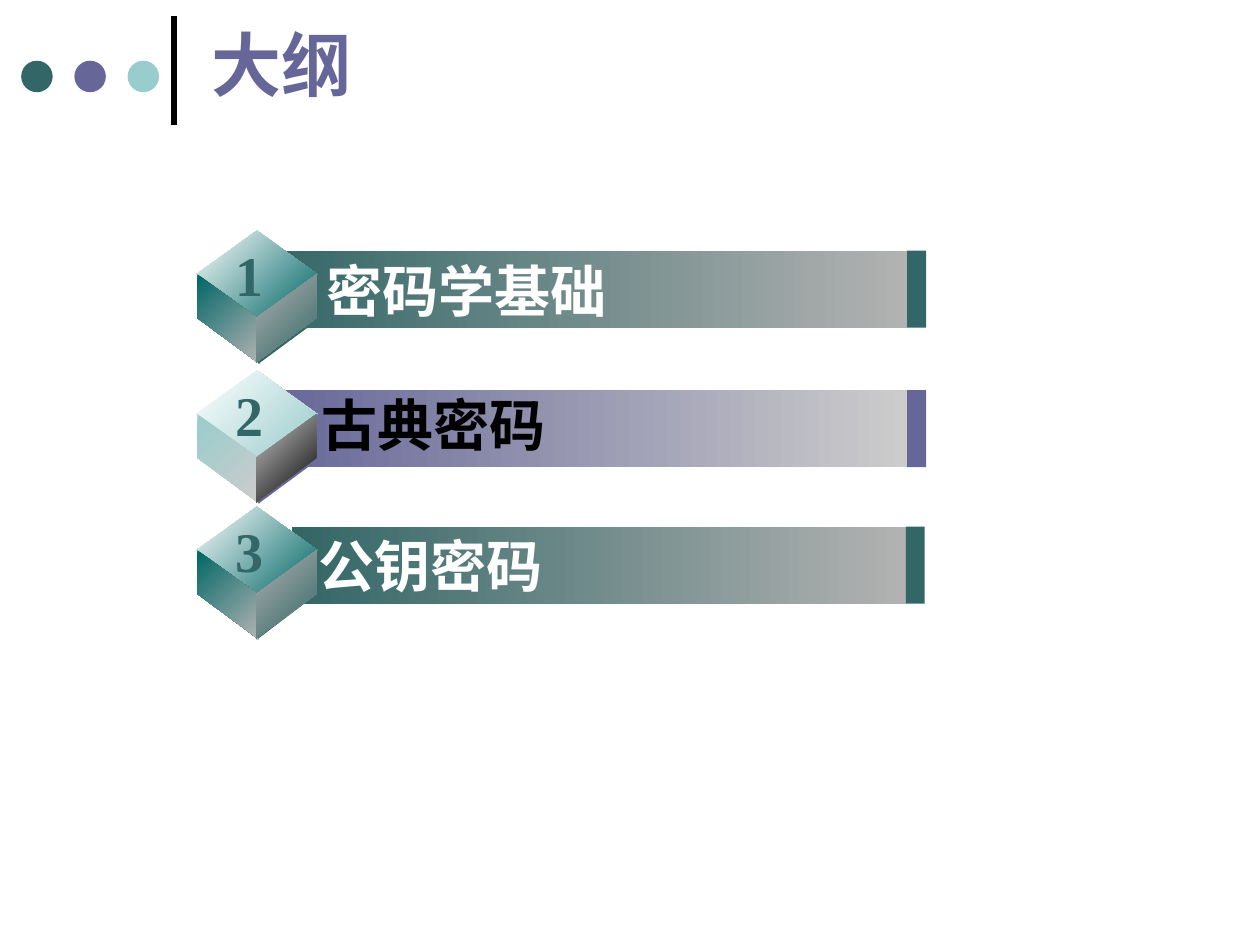
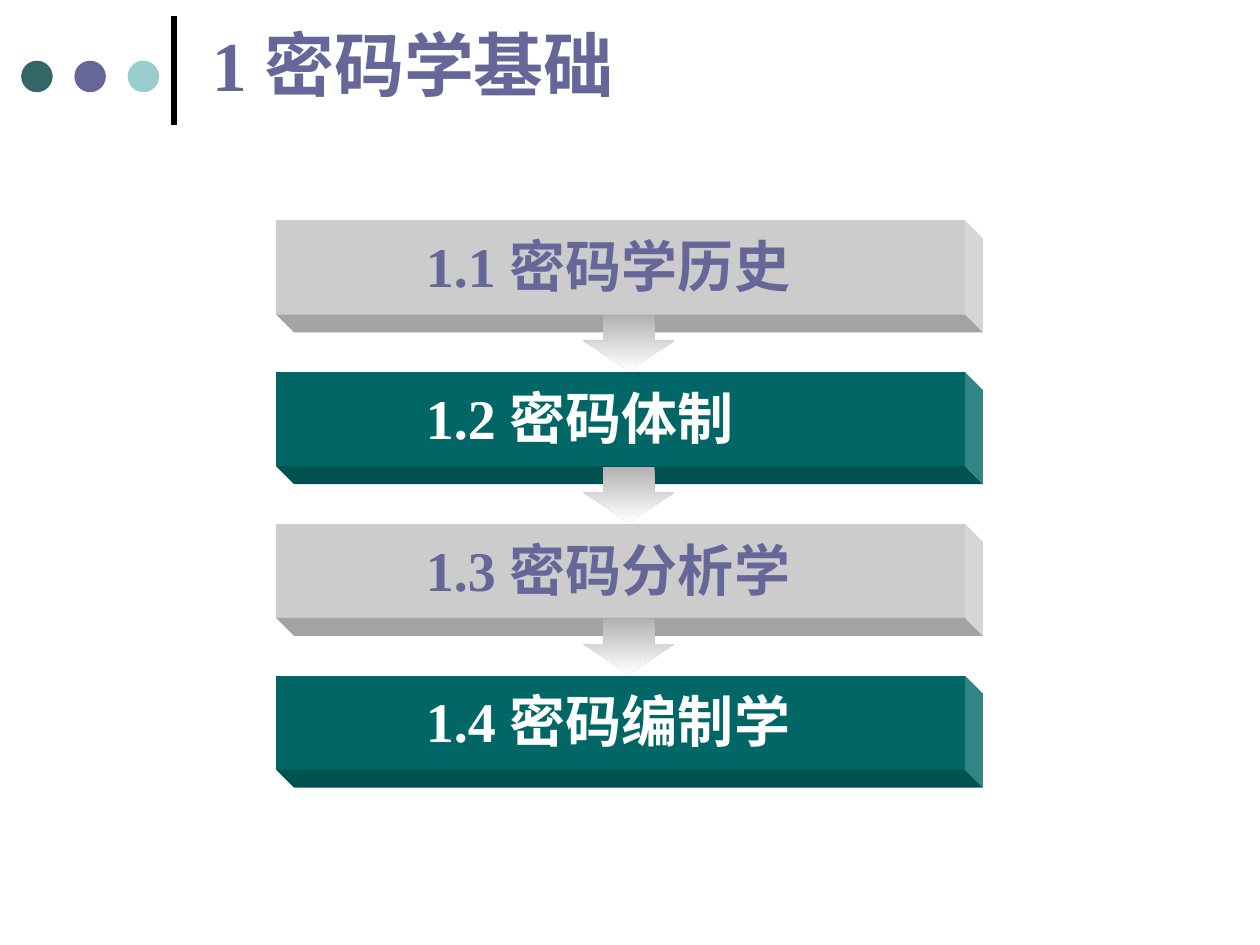
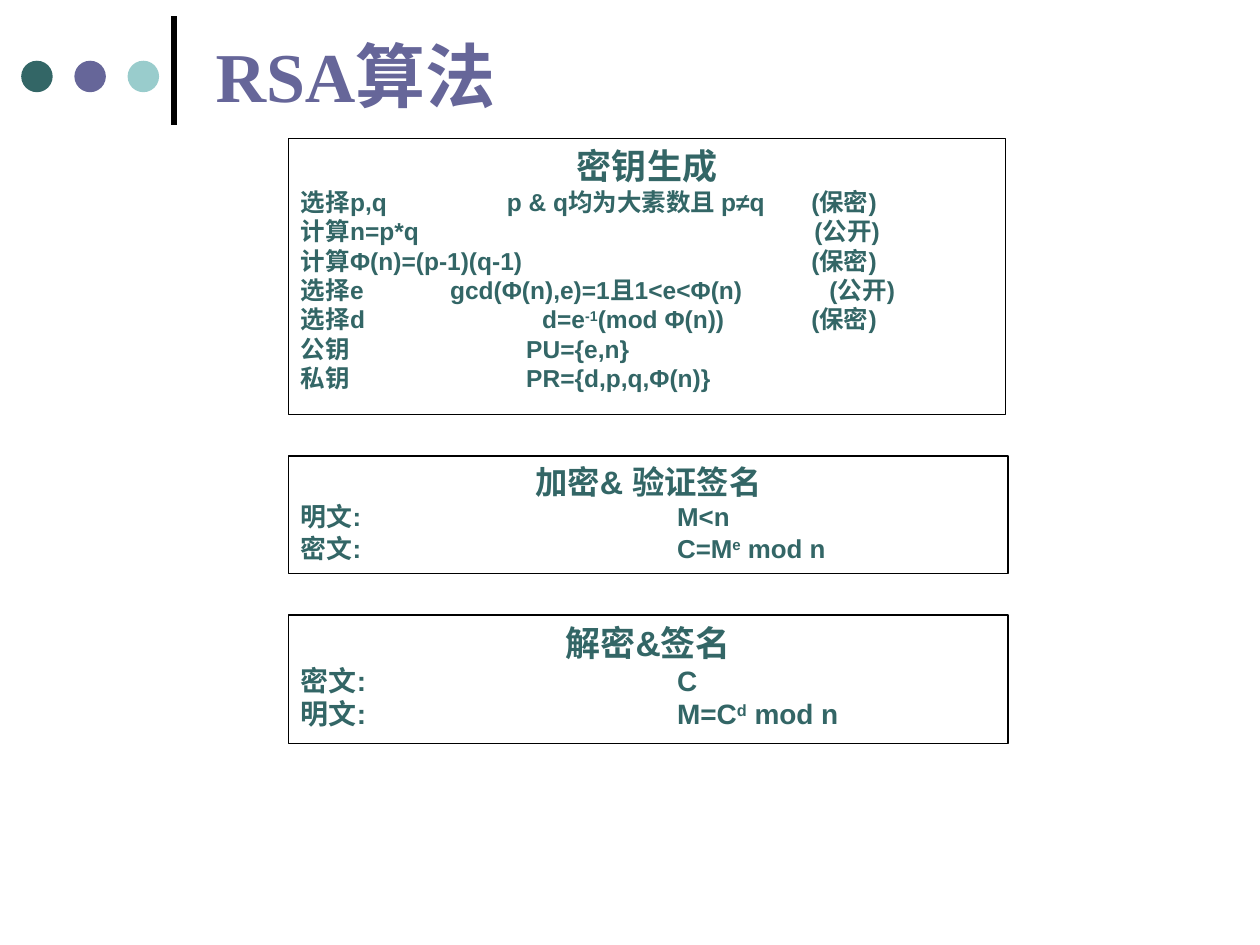
from dataclasses import dataclass
from typing import Any, Optional, Union

from lxml.etree import SubElement
from pptx import Presentation
from pptx.dml.color import RGBColor
from pptx.enum.shapes import MSO_CONNECTOR, MSO_SHAPE
from pptx.enum.text import MSO_ANCHOR, MSO_AUTO_SIZE, PP_ALIGN
from pptx.oxml.ns import qn
from pptx.util import Pt

# Palette and fonts
TEAL, DEEP_TEAL, PURPLE, AQUA = "336666", "006666", "666699", "99CCCC"
WHITE, BLACK, SILVER, GREY = "FFFFFF", "000000", "CCCCCC", "B2B2B2"
SERIF, COMIC, SANS, CHINESE = "Times New Roman", "Comic Neue", "Arial", "Noto Sans CJK SC"

BOX_INSETS = (7.2, 3.6)
LABEL_INSETS = (1.44, 0.72)


@dataclass(frozen=True)
class Gradient:
    start: str
    end: str
    angle: float = 315  # counter-clockwise


@dataclass(frozen=True)
class Box:
    left: float
    top: float
    width: float
    height: float

    def lengths(self) -> tuple:
        return Pt(self.left), Pt(self.top), Pt(self.width), Pt(self.height)


@dataclass(frozen=True)
class TextStyle:
    size: float
    color: str
    font: str = SERIF
    spacing: float = 1.0
    align: Any = PP_ALIGN.LEFT


Fill = Union[str, Gradient, None]


@dataclass(frozen=True)
class CubeFills:
    top: Fill
    left: Fill
    right: Fill


@dataclass(frozen=True)
class OutlineRow:
    number: str
    label: str
    label_color: str
    cube_top: float
    bar: Box
    bar_end: str
    base: str
    fills: CubeFills
    label_box: Optional[Box] = None  # without one, the bar holds the label


@dataclass(frozen=True)
class Step:
    number: str
    label: str
    fill: str
    color: str


@dataclass(frozen=True)
class Line:
    text: str  # superscripts stand between carets
    tabs: tuple


@dataclass(frozen=True)
class Panel:
    box: Box
    heading: str
    heading_size: float
    size: float
    lines: tuple


# Shared helpers
def color(value: str) -> RGBColor:
    return RGBColor.from_string(value)


def apply_format(target: Any, values: dict) -> None:
    for name, value in values.items():
        setattr(target, name, value)


def style_shape(shape: Any, fill: Fill, line: Optional[str] = None) -> Any:
    shape.shadow.inherit = False
    if isinstance(fill, Gradient):
        shape.fill.gradient()
        shape.fill.gradient_angle = fill.angle
        for stop, value in zip(shape.fill.gradient_stops, (fill.start, fill.end)):
            stop.color.rgb = color(value)
    elif fill:
        shape.fill.solid()
        shape.fill.fore_color.rgb = color(fill)
    else:
        shape.fill.background()
    if line:
        shape.line.color.rgb = color(line)
        shape.line.width = Pt(0.75)
    else:
        shape.line.fill.background()
    return shape


def add_block(slide: Any, kind: Any, box: Box, fill: Fill, line: Optional[str] = None) -> Any:
    return style_shape(slide.shapes.add_shape(kind, *box.lengths()), fill, line)


def setup_frame(shape: Any, insets: tuple, anchor: Any, left: Optional[float] = None) -> Any:
    horizontal, vertical = insets
    frame = shape.text_frame
    apply_format(frame, {
        "word_wrap": True, "auto_size": MSO_AUTO_SIZE.NONE, "vertical_anchor": anchor,
        "margin_left": Pt(horizontal if left is None else left),
        "margin_right": Pt(horizontal),
        "margin_top": Pt(vertical), "margin_bottom": Pt(vertical),
    })
    return frame


def add_run(paragraph: Any, text: str, style: TextStyle, font: Optional[str] = None,
            raised: bool = False) -> None:
    run = paragraph.add_run()
    run.text = text
    apply_format(run.font, {"name": font or style.font, "size": Pt(style.size), "bold": True})
    run.font.color.rgb = color(style.color)
    properties = run._r.get_or_add_rPr()
    SubElement(properties, qn("a:ea")).set("typeface", CHINESE)
    if raised:
        properties.set("baseline", "30000")


def write(paragraph: Any, runs: list, style: TextStyle, tabs: tuple = ()) -> None:
    """Fill a paragraph with (text, font) runs."""
    if tabs:
        tab_list = SubElement(paragraph._p.get_or_add_pPr(), qn("a:tabLst"))
        for position in tabs:
            tab = SubElement(tab_list, qn("a:tab"))
            tab.set("pos", str(Pt(position)))
            tab.set("algn", "l")
    apply_format(paragraph, {"alignment": style.align, "line_spacing": style.spacing})
    for text, font in runs:
        for index, piece in enumerate(text.split("^")):
            add_run(paragraph, piece, style, font, raised=index % 2 == 1)


def add_label(slide: Any, box: Box, runs: list, style: TextStyle,
              anchor: Any = MSO_ANCHOR.TOP, left: Optional[float] = None) -> None:
    frame = setup_frame(slide.shapes.add_textbox(*box.lengths()), LABEL_INSETS, anchor, left)
    write(frame.paragraphs[0], runs, style)


TITLE_BOX = Box(113.8, 12.2, 563.8, 48.2)
TITLE_STYLE = TextStyle(40, PURPLE)


def add_slide(presentation: Any, title_runs: list, title_box: Box = TITLE_BOX) -> Any:
    """Title-only slide with the three dots and the upright bar."""
    slide = presentation.slides.add_slide(presentation.slide_layouts[5])
    rule = slide.shapes.add_connector(MSO_CONNECTOR.STRAIGHT, Pt(99.4), Pt(71.3), Pt(99.4), Pt(9.4))
    rule.line.color.rgb = color(BLACK)
    rule.line.width = Pt(3)
    SubElement(rule._element.spPr, qn("a:effectLst"))
    for index, fill in enumerate((TEAL, PURPLE, AQUA)):
        add_block(slide, MSO_SHAPE.OVAL, Box(12.1 + 30.4 * index, 34.7, 18, 18), fill)
    title = slide.shapes.title
    names = ("left", "top", "width", "height")
    apply_format(title, dict(zip(names, title_box.lengths())))
    frame = setup_frame(title, BOX_INSETS, MSO_ANCHOR.MIDDLE)
    write(frame.paragraphs[0], title_runs, TITLE_STYLE)
    return slide


# Slide 1: outline
TEAL_CUBE = CubeFills(Gradient(WHITE, DEEP_TEAL), Gradient(DEEP_TEAL, GREY), Gradient(GREY, TEAL))
AQUA_CUBE = CubeFills(Gradient(WHITE, AQUA), Gradient(AQUA, SILVER), Gradient(SILVER, BLACK))
OUTLINE = (
    OutlineRow("1", "密码学基础", WHITE, 131.8, Box(149.8, 143.2, 368.6, 44), GREY, TEAL,
               TEAL_CUBE, Box(185, 153.4, 364.3, 32.4)),
    OutlineRow("2", "古典密码", BLACK, 211.7, Box(149.8, 223, 368.6, 44), SILVER, PURPLE,
               AQUA_CUBE, Box(182.2, 229.7, 409.7, 32.4)),
    OutlineRow("3", "公钥密码", WHITE, 289.5, Box(167, 301, 350.6, 44), GREY, TEAL, TEAL_CUBE),
)
CUBE_LEFT = 112.3


def add_face(slide: Any, inner: float, outer: float, top: float, fill: Fill) -> None:
    """Side of a cube, from the middle edge out to the corner."""
    points = [(inner, top + 50.4), (inner, top + 25), (outer, top), (outer, top + 25)]
    corners = [(Pt(x), Pt(y)) for x, y in points]
    builder = slide.shapes.build_freeform(*corners[0], scale=1.0)
    builder.add_line_segments(corners[1:], close=True)
    style_shape(builder.convert_to_shape(), fill)


def add_cube(slide: Any, left: float, top: float, fills: CubeFills, width: float = 69) -> None:
    add_block(slide, MSO_SHAPE.DIAMOND, Box(left, top, width, 49.7), fills.top)
    middle = left + width / 2
    add_face(slide, middle + 0.5, left + 0.5, top + 25, fills.left)
    add_face(slide, middle - 0.5, left + width - 0.5, top + 25, fills.right)


def add_outline_row(slide: Any, row: OutlineRow) -> None:
    shadow = CubeFills(row.base, row.base, row.base)
    # The last cube stands free, so its shadow stays under it
    offset, width = (1.4, 69) if row.label_box else (1.4, 67)
    add_cube(slide, CUBE_LEFT + offset, row.cube_top + 0.7, shadow, width)
    bar = add_block(slide, MSO_SHAPE.RECTANGLE, row.bar, Gradient(row.base, row.bar_end, 0))
    cap = Box(row.bar.left + row.bar.width, row.bar.top, 10.8, row.bar.height)
    add_block(slide, MSO_SHAPE.RECTANGLE, cap, row.base)
    add_cube(slide, CUBE_LEFT, row.cube_top, row.fills)
    add_label(slide, Box(133, row.cube_top + 12.6, 28.8, 32.4), [(row.number, None)],
              TextStyle(32, TEAL, spacing=0.8))
    if row.label_box:
        add_label(slide, row.label_box, [(row.label, None)],
                  TextStyle(32, row.label_color, spacing=0.8))
    else:
        frame = setup_frame(bar, BOX_INSETS, MSO_ANCHOR.MIDDLE, left=15.2)
        write(frame.paragraphs[0], [(row.label, None)], TextStyle(32, row.label_color, COMIC))


def build_outline(presentation: Any) -> None:
    slide = add_slide(presentation, [("大纲", COMIC)])
    for row in OUTLINE:
        add_outline_row(slide, row)


# Slide 2: chain of sections
STEPS = (
    Step("1.1", "密码学历史", SILVER, PURPLE),
    Step("1.2", "密码体制", DEEP_TEAL, WHITE),
    Step("1.3", "密码分析学", SILVER, PURPLE),
    Step("1.4", "密码编制学", DEEP_TEAL, WHITE),
)
STEP_PITCH = 86.7
SLAB_LENGTH, SLAB_DEPTH = 404, 64


def build_sections(presentation: Any) -> None:
    slide = add_slide(presentation, [("1 ", SERIF), ("密码学基础", COMIC)])
    for index, step in enumerate(STEPS):
        center = 158 + STEP_PITCH * index
        upright = Box(359.7 - SLAB_DEPTH / 2, center - SLAB_LENGTH / 2, SLAB_DEPTH, SLAB_LENGTH)
        slab = add_block(slide, MSO_SHAPE.CUBE, upright, step.fill)
        slab.rotation = 90
        slab.adjustments[0] = 0.16
    for index in range(len(STEPS) - 1):
        arrow = add_block(slide, MSO_SHAPE.DOWN_ARROW,
                          Box(333.4, 180 + STEP_PITCH * index, 51.8, 31.7),
                          Gradient(GREY, WHITE, 270))
        arrow.adjustments[0], arrow.adjustments[1] = 0.567, 0.534
    for index, step in enumerate(STEPS):
        add_label(slide, Box(210, 139.7 + STEP_PITCH * index, 293, 28.8),
                  [(step.number + " ", SERIF), (step.label, CHINESE)],
                  TextStyle(32, step.color, spacing=0.9), MSO_ANCHOR.MIDDLE, left=33.4)


# Slide 3: RSA panels
PANELS = (
    Panel(Box(164.9, 79.2, 409.7, 157.7), "密钥生成", 20, 14, (
        Line("选择p,q\tp & q均为大素数且 p≠q\t(保密)", (117.6, 291.6)),
        Line("计算n=p*q\t(公开)", (293.4,)),
        Line("计算Φ(n)=(p-1)(q-1)\t(保密)", (291.6,)),
        Line("选择e\tgcd(Φ(n),e)=1且1<e<Φ(n)\t(公开)", (85.2, 302)),
        Line("选择d\td=e^-1^(mod Φ(n))\t(保密)", (137.8, 291.6)),
        Line("公钥\tPU={e,n}", (128.7,)),
        Line("私钥\tPR={d,p,q,Φ(n)}", (128.7,)),
    )),
    Panel(Box(164.9, 260.6, 411.1, 67), "加密& 验证签名", 18.5, 14.8, (
        Line("明文:\tM<n", (215,)),
        Line("密文:\tC=M^e^ mod n", (215,)),
    )),
    Panel(Box(164.9, 351.4, 411.1, 73.4), "解密&签名", 20, 16, (
        Line("密文:\tC", (215,)),
        Line("明文:\tM=C^d^ mod n", (215,)),
    )),
)


def build_algorithm(presentation: Any) -> None:
    slide = add_slide(presentation, [("RSA算法", SERIF)], Box(116, 13, 604, 59))
    for panel in PANELS:
        shape = add_block(slide, MSO_SHAPE.RECTANGLE, panel.box, None, BLACK)
        frame = setup_frame(shape, BOX_INSETS, MSO_ANCHOR.TOP)
        write(frame.paragraphs[0], [(panel.heading, None)],
              TextStyle(panel.heading_size, TEAL, SANS, align=PP_ALIGN.CENTER))
        for line in panel.lines:
            write(frame.add_paragraph(), [(line.text, None)],
                  TextStyle(panel.size, TEAL, SANS), line.tabs)


def main() -> None:
    presentation = Presentation()
    presentation.slide_width, presentation.slide_height = Pt(720), Pt(540)
    build_outline(presentation)
    build_sections(presentation)
    build_algorithm(presentation)
    presentation.save("out.pptx")


if __name__ == "__main__":
    main()
